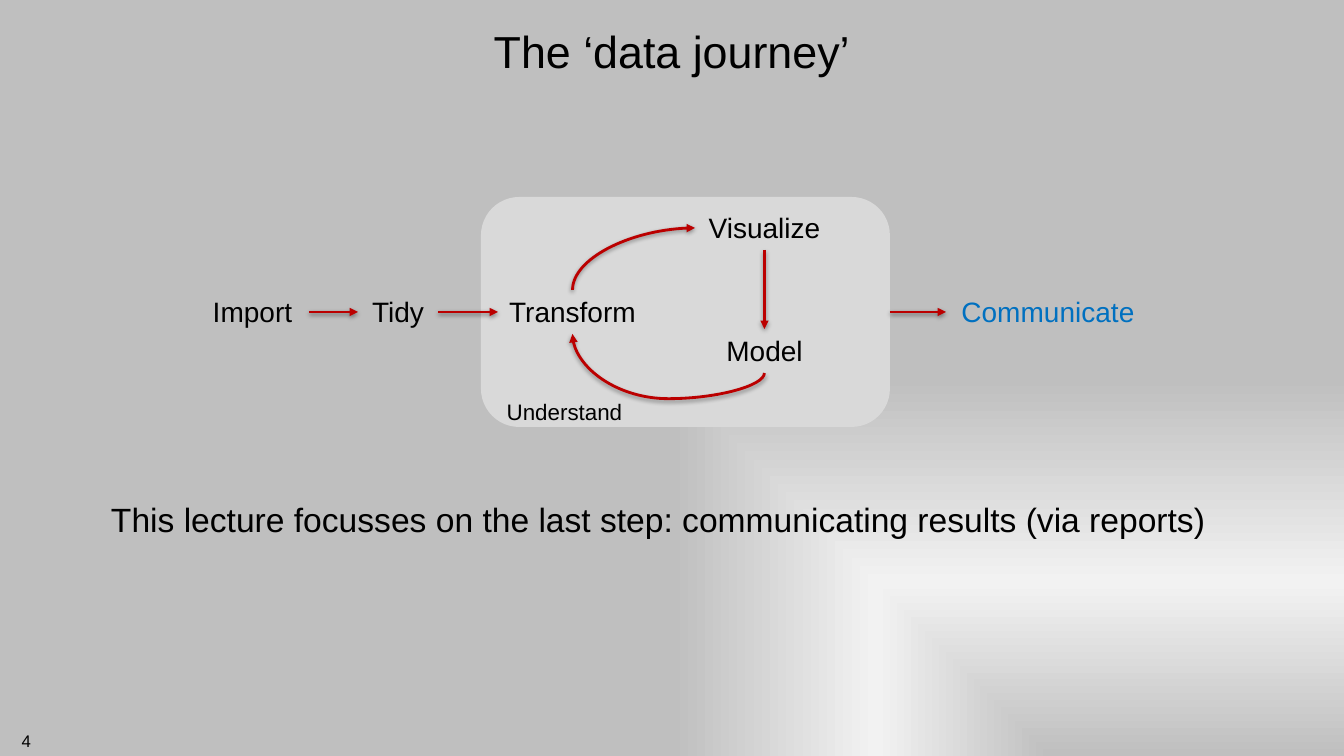
from dataclasses import dataclass

from pptx import Presentation
from pptx.dml.color import RGBColor
from pptx.enum.shapes import MSO_CONNECTOR, MSO_SHAPE
from pptx.enum.text import MSO_ANCHOR, MSO_AUTO_SIZE, PP_ALIGN
from pptx.oxml import parse_xml
from pptx.oxml.ns import nsdecls, qn
from pptx.util import Emu, Pt

TITLE = "The ‘data journey’"
BODY = "This lecture focusses on the last step: communicating results (via reports)"
PAGE = "4"
ROW_Y, LABEL_H = 290, 44
STEPS = {
    "Import": (196, ROW_Y, 113),
    "Tidy": (358, ROW_Y, 80),
    "Transform": (498, ROW_Y, 149),
    "Visualize": (695, 206, 139),
    "Model": (714, 329, 101),
    "Communicate": (946, ROW_Y, 204),
}
GROUP = "Understand"
TOP, LEFT, BOTTOM, RIGHT = range(4)
STRAIGHT = [
    ("Import", RIGHT, "Tidy", LEFT),
    ("Tidy", RIGHT, "Transform", LEFT),
    (GROUP, RIGHT, "Communicate", LEFT),
    ("Visualize", BOTTOM, "Model", TOP),
]
CURVED = [
    ("Model", BOTTOM, "Transform", BOTTOM, "curvedConnector3", -65900),
    ("Transform", TOP, "Visualize", LEFT, "curvedConnector2", None),
]


@dataclass(frozen=True)
class Theme:
    font: str = "Arial"
    text: str = "000000"
    accent: str = "0070C0"
    arrow: str = "BB0000"
    panel: str = "D9D9D9"
    back: str = "BFBFBF"
    light: str = "F2F2F2"
    title: int = 32
    body: int = 24
    step: int = 20
    group: int = 16
    page: int = 12


T = Theme()


def px(n):
    return Emu(round(n * 914400 / 100.8))


def place(s, x, y, w, h):
    s.left, s.top, s.width, s.height = px(x), px(y), px(w), px(h)


def write(s, text, size, align, color=T.text):
    tf = s.text_frame
    tf.text = text
    tf.word_wrap = True
    tf.auto_size = MSO_AUTO_SIZE.NONE
    p = tf.paragraphs[0]
    p.alignment = align
    font = p.runs[0].font
    font.name, font.size = T.font, Pt(size)
    font.color.rgb = RGBColor.from_string(color)
    return p


def add_label(slide, text, box, size, color=T.text, align=PP_ALIGN.CENTER):
    s = slide.shapes.add_textbox(*map(px, box))
    write(s, text, size, align, color)
    return s


def add_arrow(slide, kind, begin, begin_side, end, end_side):
    s = slide.shapes.add_connector(kind, 0, 0, 0, 0)
    s.begin_connect(begin, begin_side)
    s.end_connect(end, end_side)
    s.line.color.rgb = RGBColor.from_string(T.arrow)
    s.line.width = Pt(2)
    s.line._get_or_add_ln().append(parse_xml(f'<a:tailEnd {nsdecls("a")} type="triangle"/>'))
    s._element.spPr.append(parse_xml(
        f'<a:effectLst {nsdecls("a")}><a:outerShdw blurRad="40000" dist="20000" dir="5400000" '
        'rotWithShape="0"><a:srgbClr val="000000"><a:alpha val="38000"/></a:srgbClr>'
        '</a:outerShdw></a:effectLst>'))
    return s


def bend(s, preset, adjust):
    dx, dy = s.end_x - s.begin_x, s.end_y - s.begin_y
    mid_x, mid_y = (s.begin_x + s.end_x) // 2, (s.begin_y + s.end_y) // 2
    s.width, s.height = abs(dy), abs(dx)
    s.left, s.top = mid_x - abs(dy) // 2, mid_y - abs(dx) // 2
    xfrm = s._element.spPr.find(qn("a:xfrm"))
    xfrm.set("rot", "5400000")
    xfrm.set("flipH", "1" if dy < 0 else "0")
    xfrm.set("flipV", "1" if dx > 0 else "0")
    geom = s._element.spPr.find(qn("a:prstGeom"))
    geom.set("prst", preset)
    if adjust is not None:
        geom.find(qn("a:avLst")).append(
            parse_xml(f'<a:gd {nsdecls("a")} name="adj1" fmla="val {adjust}"/>'))


def set_background(slide):
    fill = slide.background.fill
    fill.gradient()
    grad = slide._element.cSld.find(".//" + qn("a:gradFill"))
    for child in list(grad):
        grad.remove(child)
    stops = "".join(f'<a:gs pos="{pos}"><a:srgbClr val="{color}"/></a:gs>' for pos, color in
                    ((0, T.back), (46000, T.light), (100000, T.back)))
    grad.append(parse_xml(f'<a:gsLst {nsdecls("a")}>{stops}</a:gsLst>'))
    grad.append(parse_xml(f'<a:path {nsdecls("a")} path="rect">'
                          '<a:fillToRect l="100000" t="100000"/></a:path>'))


def main():
    prs = Presentation()
    prs.slide_width, prs.slide_height = px(1344), px(756)
    slide = prs.slides.add_slide(prs.slide_layouts[1])
    set_background(slide)

    title, body = slide.placeholders
    place(title, 101, 0, 1142, 101)
    write(title, TITLE, T.title, PP_ALIGN.CENTER)
    place(body, 87, 489, 1188, 186)
    p = write(body, BODY, T.body, PP_ALIGN.LEFT)
    p.space_before = Pt(12)
    pPr = p._p.get_or_add_pPr()
    pPr.set("marL", str(px(14)))
    pPr.set("indent", "0")
    pPr.append(parse_xml(f'<a:buNone {nsdecls("a")}/>'))
    for s, anchor in ((title, MSO_ANCHOR.MIDDLE), (body, MSO_ANCHOR.TOP)):
        tf = s.text_frame
        tf.vertical_anchor = anchor
        tf.margin_left = tf.margin_right = tf.margin_top = tf.margin_bottom = px(10)

    panel = slide.shapes.add_shape(MSO_SHAPE.ROUNDED_RECTANGLE, *map(px, (481, 197, 409, 230)))
    panel.shadow.inherit = False
    panel.fill.solid()
    panel.fill.fore_color.rgb = RGBColor.from_string(T.panel)
    panel.line.fill.background()

    nodes = {GROUP: panel}
    for name, (x, y, w) in STEPS.items():
        color = T.accent if name == "Communicate" else T.text
        nodes[name] = add_label(slide, name, (x, y, w, LABEL_H), T.step, color)
    add_label(slide, GROUP, (468, 393, 193, 37), T.group)
    add_label(slide, PAGE, (0, 726, 41, 30), T.page, align=PP_ALIGN.RIGHT)

    for begin, i, end, j in STRAIGHT:
        add_arrow(slide, MSO_CONNECTOR.STRAIGHT, nodes[begin], i, nodes[end], j)
    for begin, i, end, j, preset, adjust in CURVED:
        s = add_arrow(slide, MSO_CONNECTOR.CURVE, nodes[begin], i, nodes[end], j)
        bend(s, preset, adjust)

    prs.save("out.pptx")


if __name__ == "__main__":
    main()
